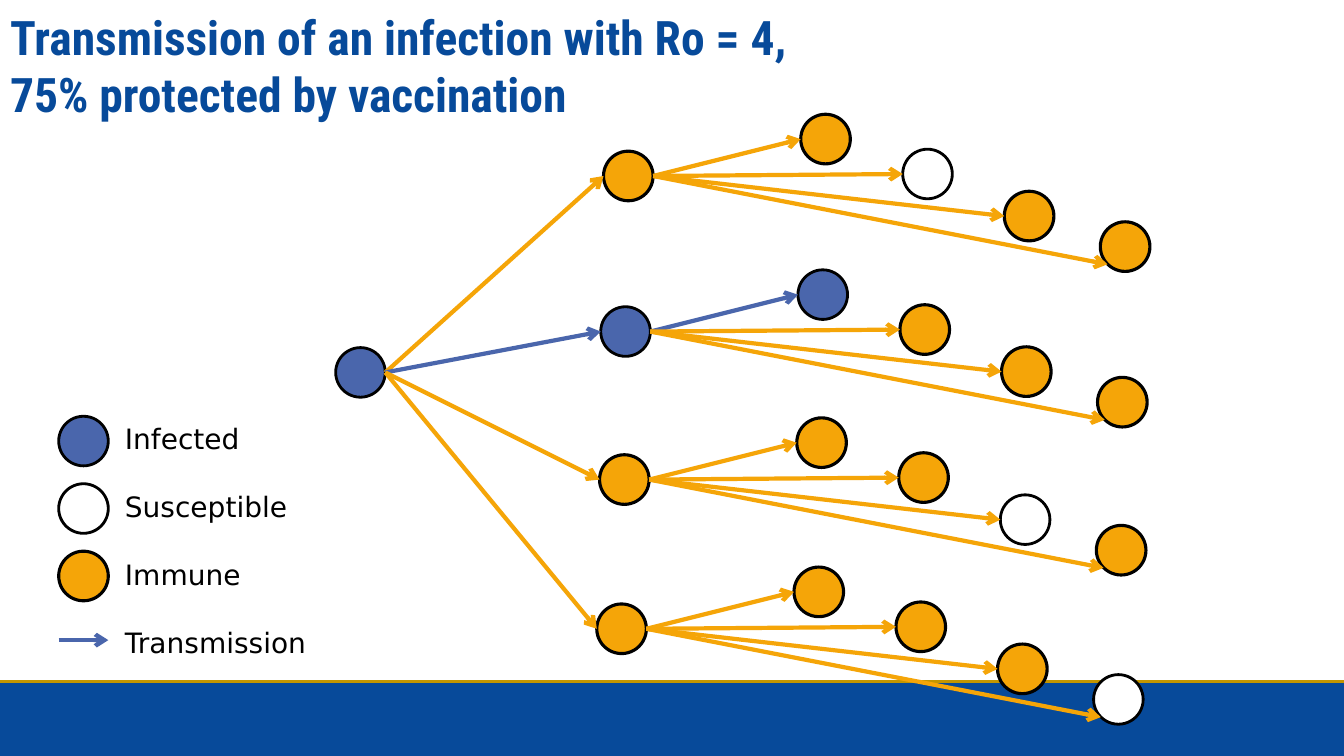
from dataclasses import dataclass

from lxml.etree import SubElement
from pptx import Presentation
from pptx.dml.color import RGBColor
from pptx.enum.shapes import MSO_CONNECTOR, MSO_SHAPE
from pptx.enum.text import MSO_ANCHOR, MSO_AUTO_SIZE, PP_ALIGN
from pptx.oxml.ns import qn
from pptx.util import Cm, Pt

# Content
TITLE = "Transmission of an infection with Ro = 4, \v75% protected by vaccination"
LEGEND = ["Infected", "Susceptible", "Immune", "Transmission"]
# Each branch: left and top in cm, its state, the states of its four contacts
BRANCHES = [
    (15.21, 3.81, "Immune", ["Immune", "Susceptible", "Immune", "Immune"]),
    (15.14, 7.73, "Infected", ["Infected", "Immune", "Immune", "Immune"]),
    (15.11, 11.46, "Immune", ["Immune", "Immune", "Susceptible", "Immune"]),
    (15.04, 15.22, "Immune", ["Immune", "Immune", "Immune", "Susceptible"]),
]

# Layout in cm
PAGE_WIDTH, PAGE_HEIGHT = 33.87, 19.05
BAND_TOP = 17.17
DIAMETER = 1.25
SOURCE = (8.46, 8.76)
CONTACT_OFFSETS = [(4.97, -0.93), (7.54, -0.05), (10.1, 1.01), (12.52, 1.78)]
LOWER_LEFT = (0.18, 1.07)
LEGEND_LEFT, LEGEND_TOP, LEGEND_STEP = 1.48, 10.49, 1.7


@dataclass(frozen=True)
class Theme:
    blue: str = "074A9A"
    gold: str = "C39600"
    infected: str = "4A66AC"
    susceptible: str = "FFFFFF"
    immune: str = "F5A508"
    ink: str = "000000"
    title_font: str = "Roboto Condensed"
    label_font: str = "DejaVu Sans"
    title_size: float = 34
    label_size: float = 20
    arrow_width: float = 3
    edge_width: float = 2
    immune_edge_width: float = 2.25


THEME = Theme()
FILLS = {"Infected": THEME.infected, "Susceptible": THEME.susceptible,
         "Immune": THEME.immune}


def rgb(value):
    return RGBColor.from_string(value)


def write_text(frame, lines, font, size, color, bold=False,
               anchor=MSO_ANCHOR.TOP, gap=0):
    frame.word_wrap = True
    frame.auto_size = MSO_AUTO_SIZE.NONE
    frame.vertical_anchor = anchor
    for index, line in enumerate(lines):
        para = frame.paragraphs[0] if index == 0 else frame.add_paragraph()
        para.text = line
        para.alignment = PP_ALIGN.LEFT
        para.space_before = Pt(gap if index else 0)
        for span in para.runs:
            span.font.name = font
            span.font.size = Pt(size)
            span.font.bold = bold
            span.font.color.rgb = rgb(color)


def add_solid(page, kind, left, top, width, height, fill, edge, edge_width):
    shape = page.shapes.add_shape(kind, Cm(left), Cm(top), Cm(width), Cm(height))
    shape.shadow.inherit = False
    shape.fill.solid()
    shape.fill.fore_color.rgb = rgb(fill)
    shape.line.color.rgb = rgb(edge)
    shape.line.width = Pt(edge_width)


def add_person(page, left, top, state):
    width = THEME.immune_edge_width if state == "Immune" else THEME.edge_width
    add_solid(page, MSO_SHAPE.OVAL, left, top, DIAMETER, DIAMETER,
              FILLS[state], THEME.ink, width)


def add_line(page, start, end, color, width, arrow=True):
    line = page.shapes.add_connector(
        MSO_CONNECTOR.STRAIGHT, *(Cm(value) for value in (*start, *end)))
    line.line.color.rgb = rgb(color)
    line.line.width = Pt(width)
    if arrow:
        SubElement(line.line._get_or_add_ln(), qn("a:tailEnd"), type="arrow")
    SubElement(line._element.spPr, qn("a:effectLst"))


def add_contact_arrow(page, giver, target, spreads, touch=(0, DIAMETER / 2)):
    start = (giver[0] + DIAMETER, giver[1] + DIAMETER / 2)
    end = (target[0] + touch[0], target[1] + touch[1])
    color = THEME.infected if spreads else THEME.immune
    add_line(page, start, end, color, THEME.arrow_width)


def add_branch(page, left, top, state, contact_states):
    add_person(page, left, top, state)
    places = [(left + across, top + down) for across, down in CONTACT_OFFSETS]
    for place, contact in zip(places, contact_states):
        add_person(page, *place, contact)
    for place, contact in zip(places, contact_states):
        spreads = state == contact == "Infected"
        touch = LOWER_LEFT if place == places[-1] else (0, DIAMETER / 2)
        add_contact_arrow(page, (left, top), place, spreads, touch)


def add_legend(page):
    for index, label in enumerate(LEGEND):
        top = LEGEND_TOP + index * LEGEND_STEP
        if label in FILLS:
            add_person(page, LEGEND_LEFT, top, label)
        else:
            middle = top + 0.54
            add_line(page, (LEGEND_LEFT, middle), (LEGEND_LEFT + DIAMETER, middle),
                     THEME.infected, THEME.arrow_width)
    box = page.shapes.add_textbox(Cm(2.9), Cm(LEGEND_TOP), Cm(6.25), Cm(6.25))
    write_text(box.text_frame, LEGEND, THEME.label_font, THEME.label_size,
               THEME.ink, gap=24.6)


def main():
    deck = Presentation()
    deck.slide_width, deck.slide_height = Cm(PAGE_WIDTH), Cm(PAGE_HEIGHT)
    page = deck.slides.add_slide(deck.slide_layouts[5])

    # Footer band
    add_solid(page, MSO_SHAPE.RECTANGLE, 0, BAND_TOP, PAGE_WIDTH,
              PAGE_HEIGHT - BAND_TOP, THEME.blue, THEME.blue, THEME.edge_width)
    add_line(page, (0, BAND_TOP), (PAGE_WIDTH, BAND_TOP), THEME.gold,
             THEME.edge_width, arrow=False)

    # Title
    title = page.shapes.title
    title.left, title.top, title.width, title.height = (
        Cm(0), Cm(0.81), Cm(29.34), Cm(1.65))
    write_text(title.text_frame, [TITLE], THEME.title_font, THEME.title_size,
               THEME.blue, bold=True, anchor=MSO_ANCHOR.MIDDLE)

    # Transmission tree
    add_person(page, *SOURCE, "Infected")
    for branch in BRANCHES:
        add_branch(page, *branch)
    for left, top, state, _ in BRANCHES:
        add_contact_arrow(page, SOURCE, (left, top), state == "Infected")

    # Legend
    add_legend(page)
    deck.save("out.pptx")


if __name__ == "__main__":
    main()
